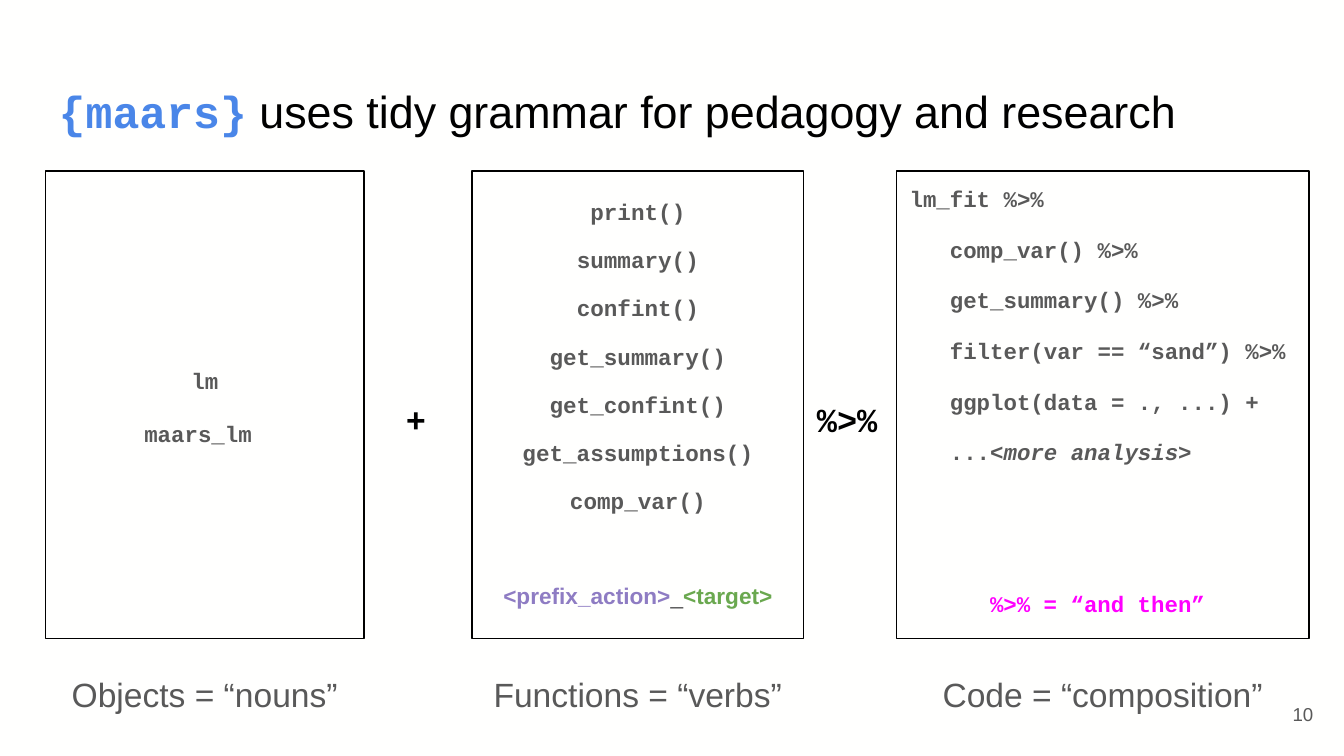
from lxml.etree import SubElement
from pptx import Presentation
from pptx.dml.color import RGBColor
from pptx.enum.text import MSO_ANCHOR as Anchor, MSO_AUTO_SIZE as AutoSize, PP_ALIGN as Align
from pptx.oxml.ns import qn
from pptx.util import Cm, Pt

SANS, MONO = "Arial", "Courier New"
GREY, BLACK, BLUE = "595959", "000000", "4A86E8"
PURPLE, GREEN, MAGENTA = "8E7CC3", "6AA84F", "FF00FF"
PANEL_TOP, PANEL_HEIGHT = 3.23, 8.84


def colour(value):
    return RGBColor.from_string(value)


def style(font, name=None, size=None, fill=None, bold=None, italic=None):
    """Set only the font properties that are given."""
    if name:
        font.name = name
    if size:
        font.size = Pt(size)
    if fill:
        font.color.rgb = colour(fill)
    if bold is not None:
        font.bold = bold
    if italic is not None:
        font.italic = italic


def place(shape, left, top, width, height, anchor):
    """Put a shape in its box and return its prepared text frame."""
    shape.left, shape.top = Cm(left), Cm(top)
    shape.width, shape.height = Cm(width), Cm(height)
    frame = shape.text_frame
    frame.word_wrap, frame.auto_size = True, AutoSize.NONE
    frame.vertical_anchor = anchor
    frame.margin_left = frame.margin_right = Cm(0.25)
    frame.margin_top = frame.margin_bottom = Cm(0.25)
    return frame


def write(para, spans, align=Align.LEFT, spacing=1.0, before=0, after=0, indent=0, **base):
    """Fill an unbulleted paragraph; each span is (text, style overrides)."""
    props = para._p.get_or_add_pPr()
    props.set("marL", str(Cm(indent)))
    props.set("indent", "0")
    SubElement(props, qn("a:buNone"))
    para.alignment, para.line_spacing = align, spacing
    para.space_before, para.space_after = Pt(before), Pt(after)
    style(para.font, **base)
    for text, changes in spans:
        span = para.add_run()
        span.text = text
        style(span.font, **changes)


def add_title(page, *box):
    frame = place(page.shapes.title, *box, Anchor.BOTTOM)
    write(frame.paragraphs[0],
          [("{maars}", dict(name=MONO, fill=BLUE, bold=True)),
           (" uses tidy grammar for pedagogy and research",
            dict(name=SANS, fill=BLACK, bold=False))],
          size=24)


def add_label(page, text, box, anchor=Anchor.MIDDLE, indent=0, **options):
    shape = page.shapes.add_textbox(0, 0, 0, 0)
    frame = place(shape, *box, anchor)
    write(frame.paragraphs[0], [(text, {})], indent=indent, **options)


def add_panel(page, slot, left, width, caption, lines, anchor, size=12, **options):
    """Framed list with a caption below; each line is (spans, layout changes)."""
    panel = page.placeholders[slot]
    frame = place(panel, left, PANEL_TOP, width, PANEL_HEIGHT, anchor)
    panel.line.color.rgb = colour(BLACK)
    panel.line.width = Pt(0.75)
    for number, (spans, changes) in enumerate(lines):
        para = frame.add_paragraph() if number else frame.paragraphs[0]
        layout = dict(options, before=12 if number else 0,
                      after=12 if number == len(lines) - 1 else 0)
        layout.update(changes)
        write(para, spans, name=MONO, size=size, fill=GREY, bold=True, **layout)
    add_label(page, caption, (left, 12, width, 2.11), align=Align.CENTER,
              spacing=1.15, after=12, name=SANS, size=18, fill=GREY)


def plain_lines(*texts):
    return [([(text, {})], {}) for text in texts]


def build():
    deck = Presentation()
    deck.slide_width, deck.slide_height = Cm(25.4), Cm(14.29)
    page = deck.slides.add_slide(deck.slide_layouts[4])
    page.background.fill.solid()
    page.background.fill.fore_color.rgb = colour("FFFFFE")

    add_title(page, 0.86, 1.24, 23.67, 1.6)

    # Objects
    add_panel(page, 1, 0.86, 6.02, "Objects = “nouns”",
              plain_lines("lm", "maars_lm "),
              Anchor.MIDDLE, align=Align.CENTER, spacing=1.15)

    # Functions, with the naming pattern at the foot
    pattern = [("<prefix_action>", dict(name=SANS, fill=PURPLE)),
               ("_", dict(name=SANS, bold=False)),
               ("<target>", dict(name=SANS, fill=GREEN))]
    functions = plain_lines("print()", "summary()", "confint()", "get_summary()",
                            "get_confint()", "get_assumptions()", "comp_var()")
    add_panel(page, 2, 8.92, 6.27, "Functions = “verbs”",
              functions + [(pattern, dict(before=37))],
              Anchor.MIDDLE, size=12.1, align=Align.CENTER, spacing=0.95)

    # Code, with the pipe explained at the foot
    code = plain_lines("lm_fit %>%", "   comp_var() %>%", "   get_summary() %>%",
                       "   filter(var == “sand”) %>%", "   ggplot(data = ., ...) +")
    code.append(([("   ...", {}), ("<more analysis>", dict(italic=True))], {}))
    code.append(([("%>% = “and then”", dict(fill=MAGENTA))],
                 dict(before=66, indent=1.52)))
    add_panel(page, 3, 16.94, 7.8, "Code = “composition”", code,
              Anchor.TOP, spacing=1.05)

    # Operators between the panels
    for text, left, width, indent in (("+", 7.04, 1.88, 0.38), ("%>%", 15.19, 1.7, 0)):
        add_label(page, text, (left, 7.29, width, 1.27), Anchor.TOP, indent,
                  name=MONO, size=18, fill=BLACK, bold=True)

    # Page number
    add_label(page, "10", (23.55, 12.95, 1.52, 1.09), align=Align.RIGHT,
              name=SANS, size=10, fill=GREY)

    # Unused placeholder
    spare = page.placeholders[4].element
    spare.getparent().remove(spare)
    deck.save("out.pptx")


if __name__ == "__main__":
    build()
